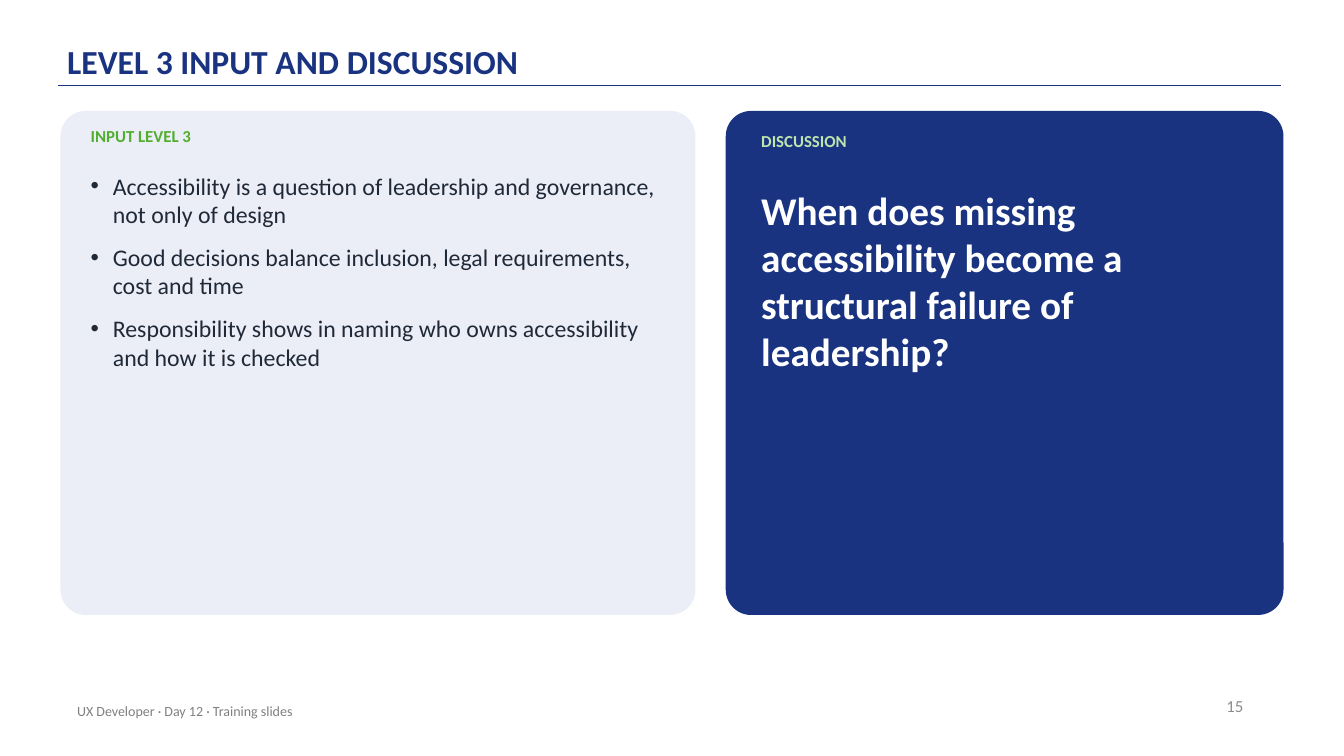
from lxml import etree
from pptx import Presentation
from pptx.dml.color import RGBColor
from pptx.enum.shapes import MSO_CONNECTOR, MSO_SHAPE
from pptx.enum.text import MSO_ANCHOR, MSO_AUTO_SIZE, PP_ALIGN
from pptx.oxml.ns import qn
from pptx.util import Inches, Pt

WIDTH, HEIGHT = Inches(13.33), Inches(7.5)
FONT = "Calibri"
NAVY = RGBColor(0x1A, 0x33, 0x81)
PALE = RGBColor(0xEC, 0xEE, 0xF7)
GREEN = RGBColor(0x51, 0xAE, 0x2F)
MINT = RGBColor(0xBF, 0xE5, 0xAE)
INK = RGBColor(0x1F, 0x29, 0x37)
WHITE = RGBColor(0xFF, 0xFF, 0xFF)
GREY = RGBColor(0x80, 0x80, 0x80)
LIGHT_GREY = RGBColor(0x8C, 0x8C, 0x8C)

# Lengths are percentages of the slide's width and height.
CARD_TOP, CARD_HEIGHT = 14.67, 66.67
LABEL_HEIGHT = 4.67
FOOTER_HEIGHT = 5.33

POINTS = [
    "Accessibility is a question of leadership and governance, not only of design",
    "Good decisions balance inclusion, legal requirements, cost and time",
    "Responsibility shows in naming who owns accessibility and how it is checked",
]


def across(share):
    return int(WIDTH * share / 100)


def down(share):
    return int(HEIGHT * share / 100)


def place(left, top, width, height):
    return across(left), down(top), across(width), down(height)


def add_bullet(p, indent=Inches(0.22)):
    pPr = p._p.get_or_add_pPr()
    pPr.set("marL", str(indent))
    pPr.set("indent", str(-indent))
    etree.SubElement(pPr, qn("a:buFont"), typeface="Arial")
    etree.SubElement(pPr, qn("a:buChar"), char="•")


def write(tf, *lines, size, color, bold=False, align=PP_ALIGN.LEFT,
          anchor=MSO_ANCHOR.TOP, insets=(0, 0), after=0, spacing=None,
          bullets=False):
    """Fill a text frame with one paragraph per line; insets are x, y inches."""
    tf.word_wrap = True
    tf.auto_size = MSO_AUTO_SIZE.NONE
    tf.vertical_anchor = anchor
    tf.margin_left = tf.margin_right = Inches(insets[0])
    tf.margin_top = tf.margin_bottom = Inches(insets[1])
    for i, line in enumerate(lines):
        p = tf.paragraphs[0] if i == 0 else tf.add_paragraph()
        p.alignment = align
        p.space_before, p.space_after = Pt(0), Pt(after)
        if spacing:
            p.line_spacing = spacing
        if bullets:
            add_bullet(p)
        r = p.add_run()
        r.text = line
        r.font.name, r.font.size, r.font.bold = FONT, Pt(size), bold
        r.font.color.rgb = color


def add_text(s, box, *lines, **style):
    write(s.shapes.add_textbox(*place(*box)).text_frame, *lines, **style)


def add_title(s, text):
    title = s.shapes.title
    title.left, title.top, title.width, title.height = place(5, 1.6, 82.5, 9.6)
    write(title.text_frame, text, size=24, color=NAVY, bold=True,
          anchor=MSO_ANCHOR.BOTTOM, insets=(0, 0.03), spacing=0.9)


def add_rule(s, left, right, y):
    line = s.shapes.add_connector(MSO_CONNECTOR.STRAIGHT, across(left), down(y),
                                  across(right), down(y))
    line.line.color.rgb, line.line.width = NAVY, Pt(1)
    etree.SubElement(line._element.spPr, qn("a:effectLst"))


def add_card(s, left, width, fill):
    sp = s.shapes.add_shape(MSO_SHAPE.ROUNDED_RECTANGLE,
                            *place(left, CARD_TOP, width, CARD_HEIGHT))
    sp.adjustments[0] = 0.05
    sp.shadow.inherit = False
    sp.fill.solid()
    sp.fill.fore_color.rgb = fill
    sp.line.fill.background()


def add_label(s, left, top, width, text, color):
    add_text(s, (left, top, width, LABEL_HEIGHT), text,
             size=12, color=color, bold=True, after=6)


def add_footer(s, left, top, width, text, **style):
    add_text(s, (left, top, width, FOOTER_HEIGHT), text,
             anchor=MSO_ANCHOR.MIDDLE, insets=(0.1, 0.05), **style)


def main():
    prs = Presentation()
    prs.slide_width, prs.slide_height = WIDTH, HEIGHT
    s = prs.slides.add_slide(prs.slide_layouts[5])

    add_rule(s, 4.35, 95.35, 11.33)
    add_title(s, "LEVEL 3 INPUT AND DISCUSSION")

    add_card(s, 4.5, 47.25, PALE)
    add_label(s, 6.75, 16.67, 42.75, "INPUT LEVEL 3", GREEN)
    add_text(s, (6.75, 22.67, 42.75, 56), *POINTS,
             size=17, color=INK, after=10, bullets=True)

    add_card(s, 54, 41.5, NAVY)
    add_label(s, 56.64, 17.33, 33.75, "DISCUSSION", MINT)
    add_text(s, (56.64, 24.67, 36.23, 53.33),
             "When does missing accessibility become a structural failure of leadership?",
             size=28, color=WHITE, bold=True, after=6)

    add_footer(s, 5, 91.33, 50.25, "UX Developer · Day 12 · Training slides",
               size=10, color=GREY)
    add_footer(s, 70.75, 90.67, 22.5, "15",
               size=12, color=LIGHT_GREY, align=PP_ALIGN.RIGHT)

    prs.save("out.pptx")


if __name__ == "__main__":
    main()
